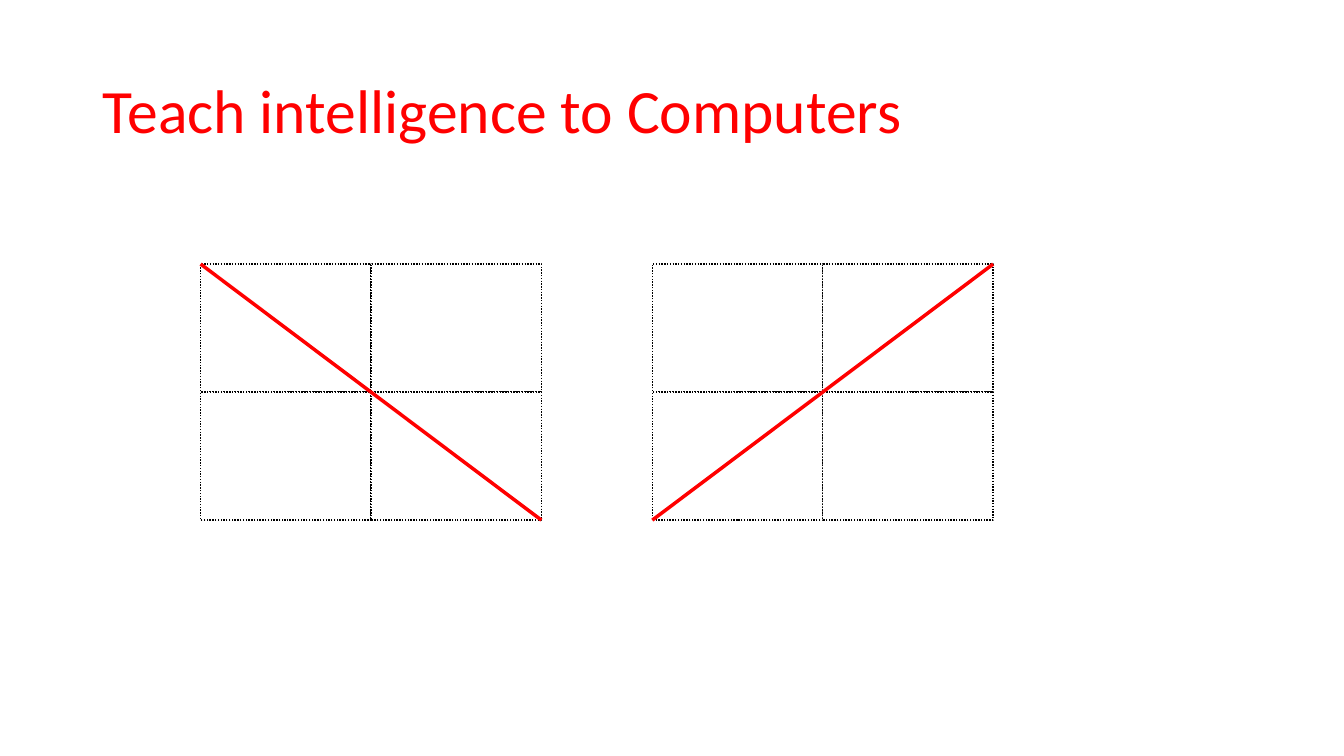
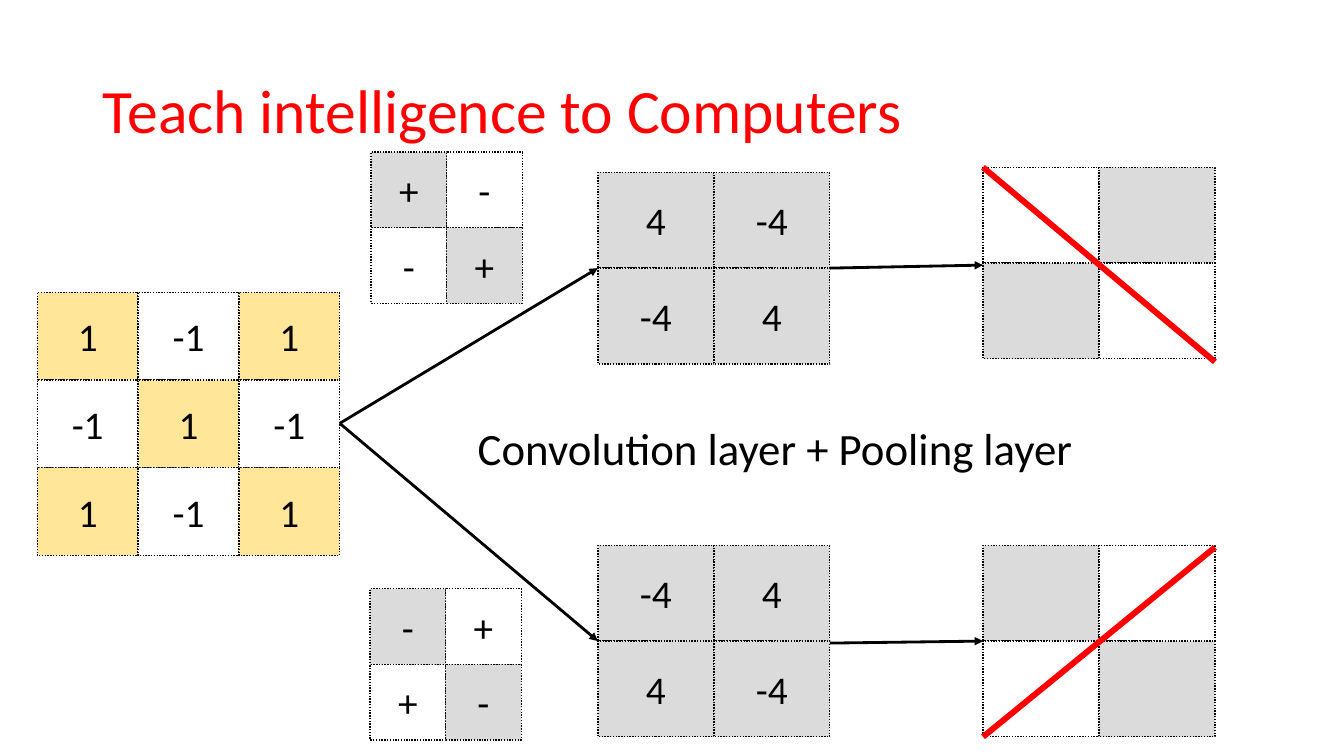
from lxml import etree
from pptx import Presentation
from pptx.dml.color import RGBColor
from pptx.enum import dml, shapes, text
from pptx.oxml import ns
from pptx.util import Inches, Pt

FONT = "Calibri"
RED, BLACK, WHITE = "FF0000", "000000", "FFFFFF"
GRAY, YELLOW = "DBDBDB", "FFE699"
TITLE = "Teach intelligence to Computers"


def color(code):
    return RGBColor.from_string(code)


def add_run(para, words, size, code=BLACK):
    run = para.add_run()
    run.text = words
    run.font.name = FONT
    run.font.size = Pt(size)
    run.font.color.rgb = color(code)


def add_slide(deck):
    """Add a slide with the shared title."""
    slide = deck.slides.add_slide(deck.slide_layouts[5])
    title = slide.shapes.title
    title.left, title.top = Inches(0.92), Inches(0.4)
    title.width, title.height = Inches(11.5), Inches(1.45)
    frame = title.text_frame
    frame.vertical_anchor = text.MSO_ANCHOR.MIDDLE
    para = frame.paragraphs[0]
    para.alignment = text.PP_ALIGN.LEFT
    para.line_spacing = 0.9
    add_run(para, TITLE, 44, RED)
    return slide


def add_cell(group, left, top, wide, high, fill, words):
    cell = group.shapes.add_shape(
        shapes.MSO_SHAPE.RECTANGLE,
        Inches(left), Inches(top), Inches(wide), Inches(high))
    cell.shadow.inherit = False
    cell.fill.solid()
    cell.fill.fore_color.rgb = color(fill)
    cell.line.color.rgb = color(BLACK)
    cell.line.width = Pt(1)
    cell.line.dash_style = dml.MSO_LINE.ROUND_DOT
    if words:
        frame = cell.text_frame
        frame.vertical_anchor = text.MSO_ANCHOR.MIDDLE
        para = frame.paragraphs[0]
        para.alignment = text.PP_ALIGN.CENTER
        add_run(para, words, 28)


def add_grid(slide, left, top, wide, high, fills, rows=(("", ""), ("", ""))):
    """Group cells of one size; the two fills alternate like a checkerboard."""
    group = slide.shapes.add_group_shape()
    for i, row in enumerate(rows):
        for j, words in enumerate(row):
            add_cell(group, left + j * wide, top + i * high, wide, high,
                     fills[(i + j) % 2], words)


def add_line(slide, start, end, code, width, arrow=False):
    ends = [Inches(n) for n in (*start, *end)]
    line = slide.shapes.add_connector(shapes.MSO_CONNECTOR.STRAIGHT, *ends)
    line.line.color.rgb = color(code)
    line.line.width = Pt(width)
    if arrow:
        head = etree.SubElement(line.line._get_or_add_ln(), ns.qn("a:tailEnd"))
        head.set("type", "triangle")
    etree.SubElement(line._element.spPr, ns.qn("a:effectLst"))


def add_label(slide, left, top, wide, high, words):
    box = slide.shapes.add_textbox(
        Inches(left), Inches(top), Inches(wide), Inches(high))
    box.text_frame.word_wrap = True
    add_run(box.text_frame.paragraphs[0], words, 32)


def draw_lines(deck):
    slide = add_slide(deck)
    top, wide, high = 2.62, 1.69, 1.27
    base = top + 2 * high
    for left, falls in ((1.99, True), (6.47, False)):
        add_grid(slide, left, top, wide, high, (WHITE, WHITE))
        right = left + 2 * wide
        start, end = (left, right) if falls else (right, left)
        add_line(slide, (start, top), (end, base), RED, 2.5)


def draw_layers(deck):
    slide = add_slide(deck)
    wide, high = 1.15, 0.95
    add_grid(slide, 0.37, 2.9, 1, 0.87, (YELLOW, WHITE),
             (("1", "-1", "1"), ("-1", "1", "-1"), ("1", "-1", "1")))

    filters = (
        (3.68, 1.51, (("+", "-"), ("-", "+"))),
        (3.67, 5.84, (("-", "+"), ("+", "-"))),
    )
    for left, top, signs in filters:
        add_grid(slide, left, top, 0.75, 0.75, (GRAY, WHITE), signs)

    maps = (
        (1.71, (("4", "-4"), ("-4", "4"))),
        (5.41, (("-4", "4"), ("4", "-4"))),
    )
    for top, sums in maps:
        add_grid(slide, 5.93, top, wide, high, (GRAY, GRAY), sums)
        add_line(slide, (3.37, 4.2), (5.93, top + high), BLACK, 2, True)

    results = (
        (1.66, (WHITE, GRAY), (8.23, 2.66), (9.75, 2.63)),
        (5.41, (GRAY, WHITE), (8.23, 6.38), (9.75, 6.36)),
    )
    for top, fills, start, end in results:
        add_grid(slide, 9.75, top, wide, high, fills)
        add_line(slide, start, end, BLACK, 2, True)

    add_line(slide, (9.75, 1.66), (12.05, 3.59), RED, 4.25)
    add_line(slide, (12.05, 5.43), (9.75, 7.31), RED, 4.25)
    add_label(slide, 4.64, 4.12, 7, 0.64, "Convolution layer + Pooling layer")


def main():
    deck = Presentation()
    deck.slide_width, deck.slide_height = Inches(13.33), Inches(7.5)
    draw_lines(deck)
    draw_layers(deck)
    deck.save("out.pptx")


if __name__ == "__main__":
    main()
